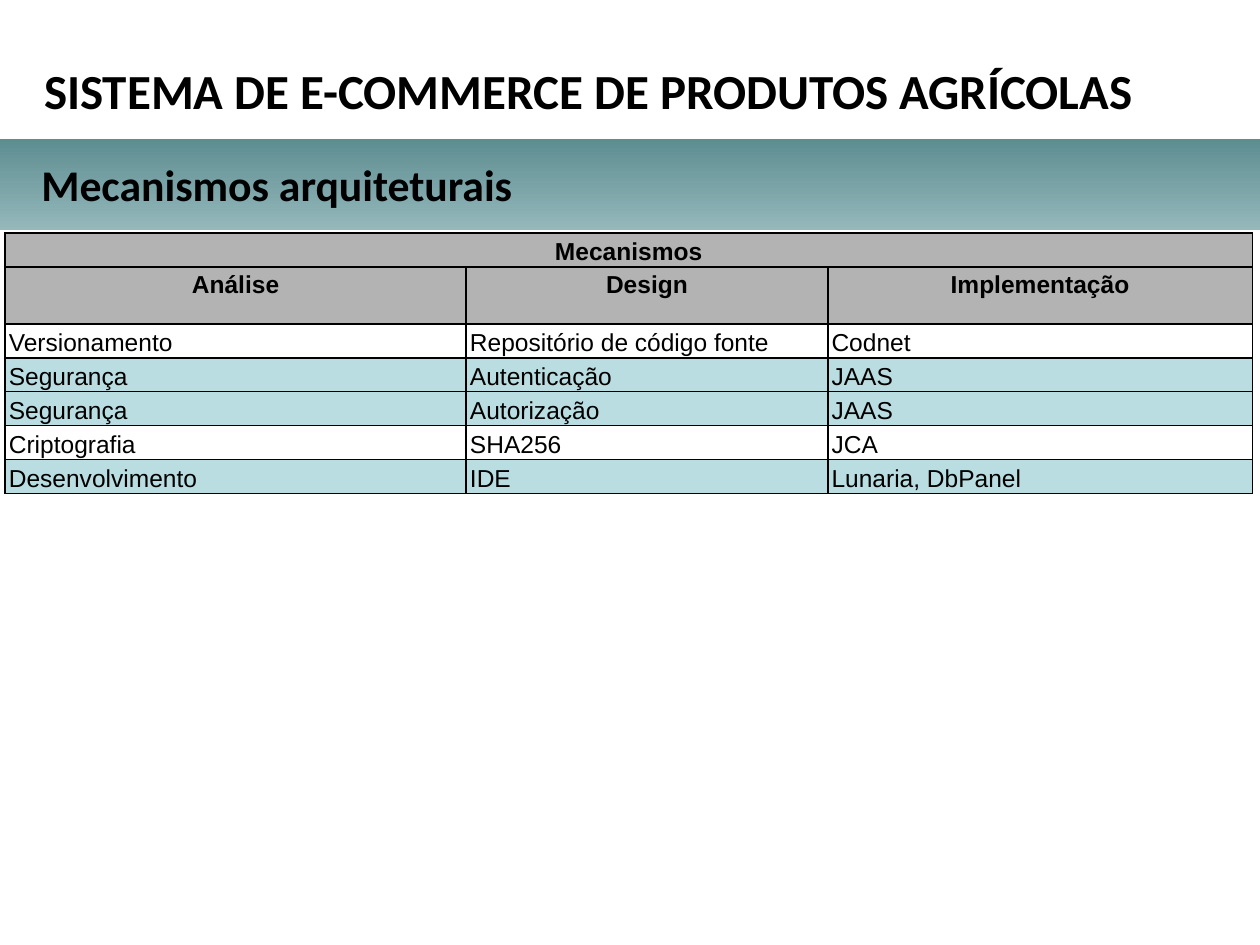
"""Build the slide on architectural mechanisms with its table."""
from dataclasses import dataclass

from lxml import etree
from pptx import Presentation
from pptx.dml.color import RGBColor
from pptx.enum import shapes, text
from pptx.oxml import ns
from pptx.util import Inches, Pt

BLACK = RGBColor(0x00, 0x00, 0x00)
GREY = RGBColor(0xB3, 0xB3, 0xB3)
AQUA = RGBColor(0xBA, 0xDD, 0xE1)
LIGHT = RGBColor(0x95, 0xB8, 0xBB)
DARK = RGBColor(0x5D, 0x8D, 0x91)

COLS = (3.66, 2.87, 3.37)
ROW = 0.27
TALL = 0.45


@dataclass(frozen=True)
class Row:
    words: tuple[str, ...]
    fill: RGBColor | None = None
    head: bool = False
    high: float = ROW
    pad: float = 0.03
    mid: bool = True


ROWS = (
    Row(("Mecanismos",), GREY, head=True, pad=0.1),
    Row(("Análise", "Design", "Implementação"), GREY, head=True, high=TALL, mid=False),
    Row(("Versionamento", "Repositório de código fonte", "Codnet")),
    Row(("Segurança", "Autenticação", "JAAS"), AQUA),
    Row(("Segurança", "Autorização", "JAAS"), AQUA),
    Row(("Criptografia", "SHA256", "JCA")),
    Row(("Desenvolvimento", "IDE", "Lunaria, DbPanel"), AQUA),
)


def write(frame, words: str, size: float, face: str, bold: bool, align=text.PP_ALIGN.LEFT):
    """Write one run into the first paragraph and return the paragraph."""
    para = frame.paragraphs[0]
    para.alignment = align
    run = para.add_run()
    run.text = words
    run.font.size = Pt(size)
    run.font.name = face
    run.font.bold = bold
    run.font.color.rgb = BLACK
    return para


def place(shape, left: float, top: float, width: float, height: float) -> None:
    """Set the position and size of a shape in inches."""
    shape.left, shape.top = Inches(left), Inches(top)
    shape.width, shape.height = Inches(width), Inches(height)


def label(shape, words: str, size: float):
    """Format a text shape as a bold heading."""
    frame = shape.text_frame
    frame.word_wrap = True
    frame.auto_size = text.MSO_AUTO_SIZE.SHAPE_TO_FIT_TEXT
    frame.vertical_anchor = text.MSO_ANCHOR.TOP
    return write(frame, words, size, "Calibri", True)


def edge(cell) -> None:
    """Draw a one-point black line on each side of a cell."""
    props = cell._tc.get_or_add_tcPr()
    for spot, side in enumerate(("lnL", "lnR", "lnT", "lnB")):
        line = etree.Element(ns.qn(f"a:{side}"), w=str(Pt(1)))
        fill = etree.SubElement(line, ns.qn("a:solidFill"))
        etree.SubElement(fill, ns.qn("a:srgbClr"), val=str(BLACK))
        props.insert(spot, line)


def style(cell, row: Row) -> None:
    """Set fill, margins, anchor and borders of a cell."""
    if row.fill is None:
        cell.fill.background()
    else:
        cell.fill.solid()
        cell.fill.fore_color.rgb = row.fill
    cell.margin_left = cell.margin_right = Inches(row.pad)
    cell.margin_top = cell.margin_bottom = 0
    cell.vertical_anchor = text.MSO_ANCHOR.MIDDLE if row.mid else text.MSO_ANCHOR.TOP
    edge(cell)


def band(slide) -> None:
    """Draw the gradient band behind the subtitle."""
    bar = slide.shapes.add_shape(
        shapes.MSO_SHAPE.RECTANGLE, 0, Inches(1.1), Inches(10), Inches(0.73))
    bar.shadow.inherit = False
    bar.line.fill.background()
    bar.fill.gradient()
    bar.fill.gradient_angle = 90
    for stop, tone, spot in zip(bar.fill.gradient_stops, (LIGHT, DARK), (0, 1)):
        stop.color.rgb = tone
        stop.position = spot


def grid(slide) -> None:
    """Add the table of mechanisms."""
    table = slide.shapes.add_table(
        len(ROWS), len(COLS), Inches(0.04), Inches(1.85),
        Inches(sum(COLS)), Inches(sum(row.high for row in ROWS))).table
    table.horz_banding = False
    for col, width in zip(table.columns, COLS):
        col.width = Inches(width)
    table.cell(0, 0).merge(table.cell(0, len(COLS) - 1))
    for line, row in zip(table.rows, ROWS):
        line.height = Inches(row.high)
        for cell in line.cells:
            style(cell, row)
        align = text.PP_ALIGN.CENTER if row.head else text.PP_ALIGN.LEFT
        for cell, words in zip(line.cells, row.words):
            para = write(cell.text_frame, words, 14, "Arial", row.head, align)
            para.line_spacing = 1.15


def main() -> None:
    """Build and save the deck."""
    deck = Presentation()
    deck.slide_width, deck.slide_height = Inches(10), Inches(7.5)
    slide = deck.slides.add_slide(deck.slide_layouts[5])
    band(slide)
    title = slide.shapes.title
    place(title, 0.25, 0.51, 9.65, 0.5)
    para = label(title, "SISTEMA DE E-COMMERCE DE PRODUTOS AGRÍCOLAS", 28)
    para.line_spacing = Pt(28)
    topic = slide.shapes.add_textbox(0, 0, 0, 0)
    place(topic, 0.23, 1.2, 9.55, 0.52)
    label(topic, "Mecanismos arquiteturais", 25)
    grid(slide)
    deck.save("out.pptx")


if __name__ == "__main__":
    main()
